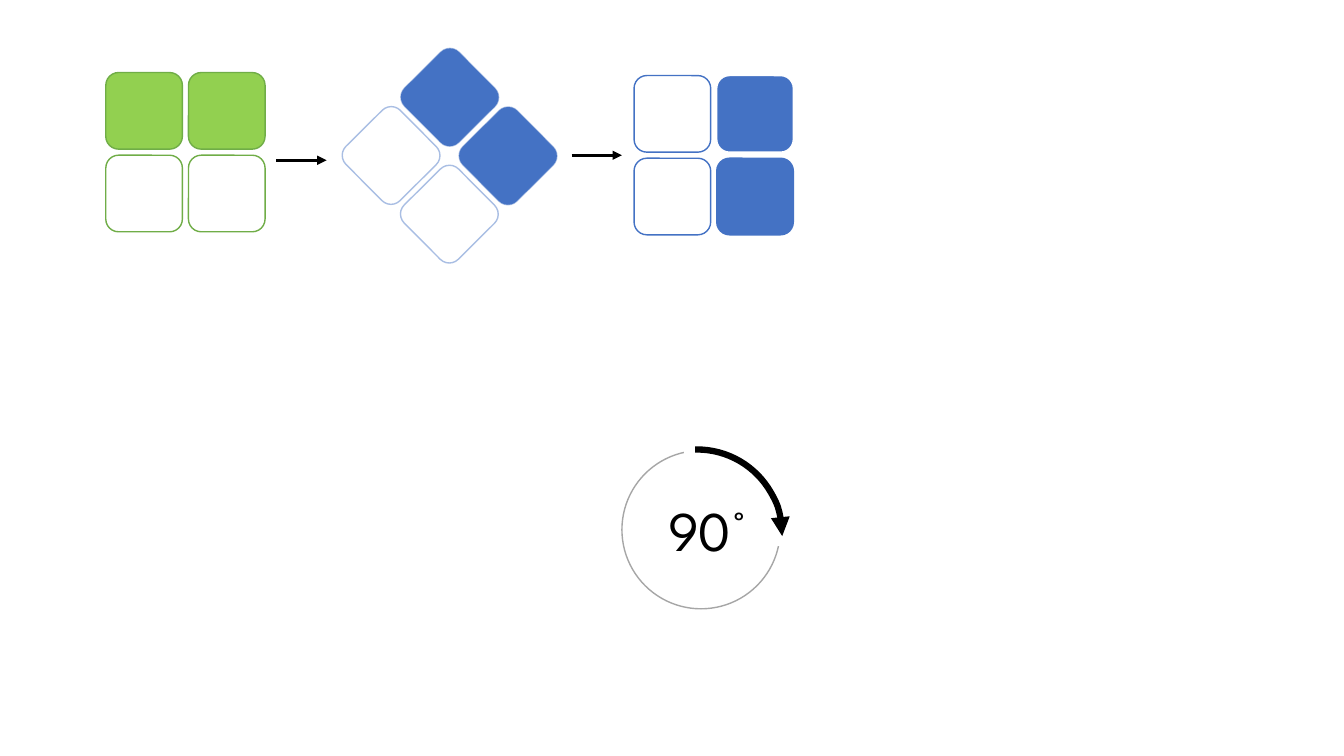
"""Build a slide that turns a two-by-two tile block by a quarter turn."""
from dataclasses import dataclass
from math import cos, radians, sin
from typing import Optional

from lxml.etree import SubElement as Sub
from pptx import Presentation
from pptx.dml.color import RGBColor as Rgb
from pptx.dml.line import LineFormat as Line
from pptx.enum.shapes import MSO_CONNECTOR as Conn, MSO_SHAPE as Kind
from pptx.enum.text import MSO_AUTO_SIZE as Auto
from pptx.oxml.ns import qn
from pptx.shapes.autoshape import Shape
from pptx.shapes.shapetree import GroupShapes, SlideShapes
from pptx.util import Inches, Length, Pt

COLS, ROWS = 133.33, 75
TILE, PITCH = 7.6, 8.2


@dataclass(frozen=True)
class Theme:
    """Colours, font and sizes in points."""
    white: str = "FFFFFF"
    black: str = "000000"
    blue: str = "4472C4"
    lime: str = "92D050"
    green: str = "70AD47"
    grey: str = "A6A6A6"
    font: str = "League Spartan"
    text: float = 40
    thin: float = 1
    mid: float = 2.25
    bold: float = 4.5


THEME = Theme()


@dataclass(frozen=True)
class Box:
    """A frame in grid columns and rows."""
    left: float
    top: float
    wide: float
    high: float


@dataclass(frozen=True)
class Block:
    """Four tiles, the first two filled, turned about a centre."""
    col: float
    row: float
    turn: float
    fill: str
    edge: str
    first: str
    alpha: Optional[int] = None


@dataclass(frozen=True)
class Arrow:
    """The start of a step arrow."""
    col: float
    row: float
    span: float = 5


@dataclass(frozen=True)
class Part:
    """A piece of the dial."""
    kind: Kind
    box: Box
    edge: str
    width: float = THEME.thin
    fill: Optional[str] = None
    turn: float = 0


BLOCKS = (
    Block(44.6, 15.45, 45.2, THEME.blue, THEME.blue, THEME.blue, 46),
    Block(18.4, 15.1, 0, THEME.lime, THEME.green, THEME.green),
    Block(70.8, 15.4, 90, THEME.blue, THEME.blue, THEME.white),
)
ARROWS = (Arrow(27.4, 15.9), Arrow(56.7, 15.4))
LABEL = Box(65.3, 48.7, 10.3, 7.7)
RING = Part(Kind.OVAL, Box(61.7, 44.7, 15.7, 15.7), THEME.grey)
RIGHT = Part(Kind.RECTANGLE, Box(76.5, 52.7, 4.2, 1.4), THEME.white, fill=THEME.white)
SWEEP = Part(Kind.ARC, Box(60.7, 44.6, 16.9, 17), THEME.black, THEME.bold)
UPPER = Part(Kind.RECTANGLE, Box(66.3, 45.6, 4.2, 1), THEME.white, fill=THEME.white, turn=270)
ANGLES = (266.15, 0.61)


def unit(count: float) -> Length:
    """Turn grid steps into a length."""
    return Inches(count / 10)


def frame(box: Box) -> tuple[Length, ...]:
    """Give a box as four lengths."""
    return tuple(map(unit, (box.left, box.top, box.wide, box.high)))


def stroke(line: Line, edge: str, width: float) -> None:
    """Set the colour and width of a line."""
    line.color.rgb = Rgb.from_string(edge)
    line.width = Pt(width)


def point(line: Line) -> None:
    """Put a triangle at the end of a line."""
    Sub(line._get_or_add_ln(), qn("a:tailEnd"), type="triangle")


def draw(shapes: GroupShapes | SlideShapes, part: Part) -> Shape:
    """Add one flat shape."""
    shape = shapes.add_shape(part.kind, *frame(part.box))
    shape.shadow.inherit = False
    shape.rotation = part.turn
    if part.fill:
        shape.fill.solid()
        shape.fill.fore_color.rgb = Rgb.from_string(part.fill)
    else:
        shape.fill.background()
    stroke(shape.line, part.edge, part.width)
    return shape


def block(shapes: SlideShapes, item: Block) -> None:
    """Add a group of four tiles around its centre."""
    group = shapes.add_group_shape().shapes
    angle = radians(item.turn)
    for i in range(4):
        x, y = (i % 2 - 0.5) * PITCH, (i // 2 - 0.5) * PITCH
        left = item.col + x * cos(angle) - y * sin(angle) - TILE / 2
        top = item.row + x * sin(angle) + y * cos(angle) - TILE / 2
        edge = item.edge if i else item.first
        fill = item.fill if i < 2 else THEME.white
        box = Box(left, top, TILE, TILE)
        tile = draw(group, Part(Kind.ROUNDED_RECTANGLE, box, edge, fill=fill, turn=item.turn))
        if item.alpha:
            tint = tile.line._get_or_add_ln().find(".//" + qn("a:srgbClr"))
            Sub(tint, qn("a:alpha"), val=str(item.alpha * 1000))


def arrow(shapes: SlideShapes, item: Arrow) -> None:
    """Add a level step arrow."""
    ends = (item.col, item.row, item.col + item.span, item.row)
    link = shapes.add_connector(Conn.STRAIGHT, *map(unit, ends))
    stroke(link.line, THEME.black, THEME.mid)
    point(link.line)
    Sub(link._element.spPr, qn("a:effectLst"))


def label(shapes: SlideShapes) -> None:
    """Add the angle inside the dial."""
    text = shapes.add_textbox(*frame(LABEL)).text_frame
    text.word_wrap = False
    text.auto_size = Auto.SHAPE_TO_FIT_TEXT
    text.text = "90°"
    font = text.paragraphs[0].font
    font.name, font.size = THEME.font, Pt(THEME.text)
    font.color.rgb = Rgb.from_string(THEME.black)


def dial(shapes: SlideShapes) -> None:
    """Add the ring, its gaps and the sweeping arrow."""
    label(shapes)
    draw(shapes, RING)
    draw(shapes, RIGHT)
    sweep = draw(shapes, SWEEP)
    for i, angle in enumerate(ANGLES):
        sweep.adjustments[i] = angle * 0.6
    point(sweep.line)
    draw(shapes, UPPER)


def main() -> None:
    """Build and save the slide."""
    deck = Presentation()
    deck.slide_width, deck.slide_height = unit(COLS), unit(ROWS)
    shapes = deck.slides.add_slide(deck.slide_layouts[6]).shapes
    for item in BLOCKS:
        block(shapes, item)
    for item in ARROWS:
        arrow(shapes, item)
    dial(shapes)
    deck.save("out.pptx")


if __name__ == "__main__":
    main()
